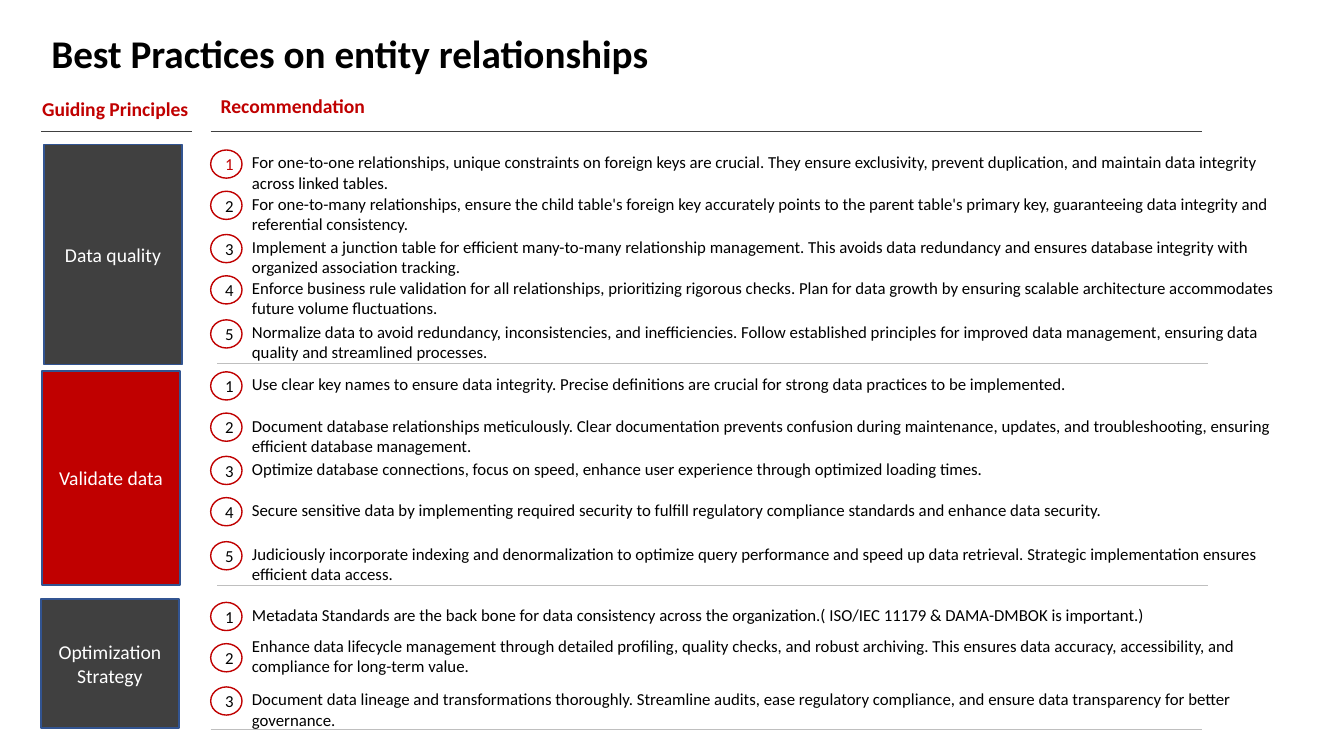
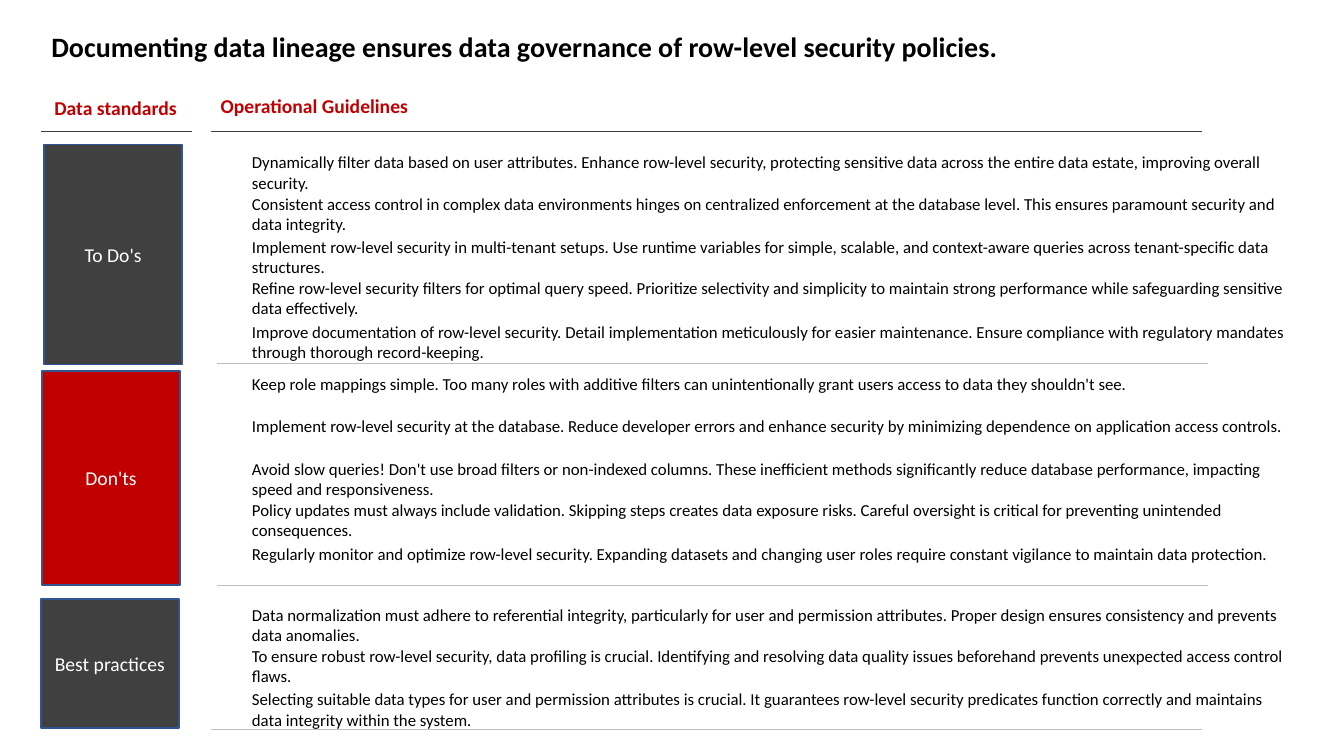
"""Build two slides of data practice guidelines grouped into coloured bands."""
import pptx
import pptx.util
import pptx.dml.color
import pptx.enum.shapes
import pptx.enum.text
import lxml.etree

Cm = pptx.util.Cm
Pt = pptx.util.Pt
SHAPE = pptx.enum.shapes.MSO_SHAPE
ALIGN = pptx.enum.text.PP_ALIGN
BLACK, WHITE, RED, GREY = "000000", "FFFFFF", "C00000", "404040"
BAND_EDGE, PALE = "325491", "BFBFBF"
DRAWING = "http://schemas.openxmlformats.org/drawingml/2006/main"


def colour(value):
    return pptx.dml.color.RGBColor.from_string(value)


def write(shape, text, size, ink, bold=False, align=ALIGN.LEFT):
    frame = shape.text_frame
    frame.word_wrap = True
    frame.text = text
    paragraph = frame.paragraphs[0]
    paragraph.alignment = align
    paragraph.font.name = "Calibri"
    paragraph.font.size = Pt(size)
    paragraph.font.bold = bold
    paragraph.font.color.rgb = colour(ink)


header_rules = [(1.04, 3.3, 3.79, GREY), (5.31, 3.32, 24.99, GREY)]
section_rules = [(5.48, 9.16, 24.97, PALE), (5.48, 14.74, 24.97, PALE), (5.31, 18.39, 24.99, PALE)]
bands = [(1.11, 3.64, 5.54, GREY), (1.06, 9.35, 5.39, RED), (1.03, 15.09, 3.26, GREY)]
section_tops = [3.71, 9.3, 15.11]
row_offsets = [0, 1.04, 2.13, 3.17, 4.28]

pages = [
    {
        "title": "Best Practices on entity relationships",
        "title_size": 28,
        "title_height": 1.45,
        "principle": ("Guiding Principles", 0.81, 2.31, 4.5),
        "advice": "Recommendation",
        "numbered": True,
        "raised": {(2, 1): 0.25},
        "sections": [
            ("Data quality", [
                "For one-to-one relationships, unique constraints on foreign keys are crucial. They ensure exclusivity, prevent duplication, and maintain data integrity across linked tables.",
                "For one-to-many relationships, ensure the child table's foreign key accurately points to the parent table's primary key, guaranteeing data integrity and referential consistency.",
                "Implement a junction table for efficient many-to-many relationship management. This avoids data redundancy and ensures database integrity with organized association tracking.",
                "Enforce business rule validation for all relationships, prioritizing rigorous checks. Plan for data growth by ensuring scalable architecture accommodates future volume fluctuations.",
                "Normalize data to avoid redundancy, inconsistencies, and inefficiencies. Follow established principles for improved data management, ensuring data quality and streamlined processes.",
            ]),
            ("Validate data", [
                "Use clear key names to ensure data integrity. Precise definitions are crucial for strong data practices to be implemented.",
                "Document database relationships meticulously. Clear documentation prevents confusion during maintenance, updates, and troubleshooting, ensuring efficient database management.",
                "Optimize database connections, focus on speed, enhance user experience through optimized loading times.",
                "Secure sensitive data by implementing required security to fulfill regulatory compliance standards and enhance data security.",
                "Judiciously incorporate indexing and denormalization to optimize query performance and speed up data retrieval. Strategic implementation ensures efficient data access.",
            ]),
            ("Optimization Strategy", [
                "Metadata Standards are the back bone for data consistency across the organization.( ISO/IEC 11179 & DAMA-DMBOK is important.)",
                "Enhance data lifecycle management through detailed profiling, quality checks, and robust archiving. This ensures data accuracy, accessibility, and compliance for long-term value.",
                "Document data lineage and transformations thoroughly. Streamline audits, ease regulatory compliance, and ensure data transparency for better governance.",
            ]),
        ],
    },
    {
        "title": "Documenting data lineage ensures data governance of row-level security policies.",
        "title_size": 20,
        "title_height": 1.12,
        "principle": ("Data standards", 1.12, 2.29, 4.22),
        "advice": "Operational Guidelines",
        "numbered": False,
        "raised": {},
        "sections": [
            ("To Do's", [
                "Dynamically filter data based on user attributes. Enhance row-level security, protecting sensitive data across the entire data estate, improving overall security.",
                "Consistent access control in complex data environments hinges on centralized enforcement at the database level. This ensures paramount security and data integrity.",
                "Implement row-level security in multi-tenant setups. Use runtime variables for simple, scalable, and context-aware queries across tenant-specific data structures.",
                "Refine row-level security filters for optimal query speed. Prioritize selectivity and simplicity to maintain strong performance while safeguarding sensitive data effectively.",
                "Improve documentation of row-level security. Detail implementation meticulously for easier maintenance. Ensure compliance with regulatory mandates through thorough record-keeping.",
            ]),
            ("Don'ts", [
                "Keep role mappings simple. Too many roles with additive filters can unintentionally grant users access to data they shouldn't see.",
                "Implement row-level security at the database. Reduce developer errors and enhance security by minimizing dependence on application access controls.",
                "Avoid slow queries! Don't use broad filters or non-indexed columns. These inefficient methods significantly reduce database performance, impacting speed and responsiveness.",
                "Policy updates must always include validation. Skipping steps creates data exposure risks. Careful oversight is critical for preventing unintended consequences.",
                "Regularly monitor and optimize row-level security. Expanding datasets and changing user roles require constant vigilance to maintain data protection.",
            ]),
            ("Best practices", [
                "Data normalization must adhere to referential integrity, particularly for user and permission attributes. Proper design ensures consistency and prevents data anomalies.",
                "To ensure robust row-level security, data profiling is crucial. Identifying and resolving data quality issues beforehand prevents unexpected access control flaws.",
                "Selecting suitable data types for user and permission attributes is crucial. It guarantees row-level security predicates function correctly and maintains data integrity within the system.",
            ]),
        ],
    },
]

deck = pptx.Presentation()
deck.slide_width = Cm(33.87)
deck.slide_height = Cm(19.05)
title_only = deck.slide_layouts[5]

for page in pages:
    slide = deck.slides.add_slide(title_only)
    shapes = slide.shapes

    title = shapes.title
    title.left, title.top = Cm(1.04), Cm(0.61)
    title.width, title.height = Cm(31), Cm(page["title_height"])
    write(title, page["title"], page["title_size"], BLACK, bold=True)
    title.text_frame.vertical_anchor = pptx.enum.text.MSO_ANCHOR.TOP
    title.text_frame.auto_size = pptx.enum.text.MSO_AUTO_SIZE.NONE

    headings = [page["principle"], (page["advice"], 5.31, 2.24, 25.3)]
    for text, left, top, width in headings:
        heading = shapes.add_textbox(Cm(left), Cm(top), Cm(width), Cm(0.86))
        write(heading, text, 14, RED, bold=True)

    for left, top, width, ink in header_rules + section_rules:
        rule = shapes.add_connector(
            pptx.enum.shapes.MSO_CONNECTOR.STRAIGHT, Cm(left), Cm(top), Cm(left + width), Cm(top))
        rule.line.color.rgb = colour(ink)
        rule.line.width = Pt(0.5)
        lxml.etree.SubElement(rule.element.spPr, "{%s}effectLst" % DRAWING)

    for section, (label, items) in enumerate(page["sections"]):
        left, top, height, fill = bands[section]
        band = shapes.add_shape(SHAPE.RECTANGLE, Cm(left), Cm(top), Cm(3.48), Cm(height))
        band.shadow.inherit = False
        band.fill.solid()
        band.fill.fore_color.rgb = colour(fill)
        band.line.color.rgb = colour(BAND_EDGE)
        band.line.width = Pt(1)
        write(band, label, 14, WHITE, align=ALIGN.CENTER)

        for row, item in enumerate(items):
            row_top = section_tops[section] + row_offsets[row]
            item_top = row_top - page["raised"].get((section, row), 0)
            advice = shapes.add_textbox(Cm(6.1), Cm(item_top), Cm(26.67), Cm(0.76))
            write(advice, item, 12, BLACK)
            if page["numbered"]:
                number = shapes.add_shape(SHAPE.OVAL, Cm(5.31), Cm(row_top + 0.07), Cm(0.79), Cm(0.71))
                number.shadow.inherit = False
                number.fill.solid()
                number.fill.fore_color.rgb = colour(WHITE)
                number.line.color.rgb = colour(RED)
                number.line.width = Pt(1)
                ink = RED if section == row == 0 else BLACK
                write(number, str(row + 1), 12, ink, align=ALIGN.CENTER)

deck.save("out.pptx")
